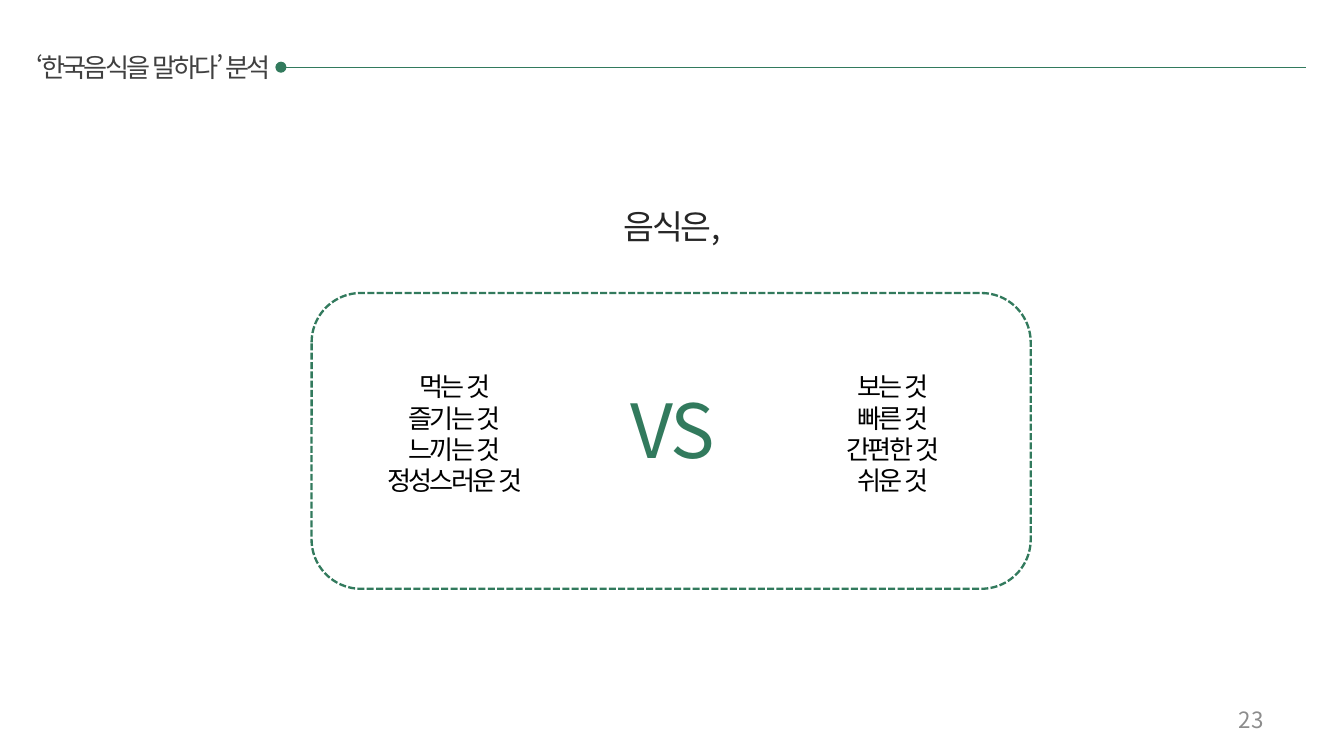
from lxml.etree import SubElement
from pptx import Presentation
from pptx.dml.color import RGBColor
from pptx.enum.dml import MSO_LINE
from pptx.enum.lang import MSO_LANGUAGE_ID
from pptx.enum.shapes import MSO_CONNECTOR, MSO_SHAPE
from pptx.enum.text import MSO_ANCHOR, MSO_AUTO_SIZE, PP_ALIGN
from pptx.oxml.ns import qn
from pptx.util import Cm, Pt

FONT = "Noto Sans CJK KR"
GREEN = RGBColor(0x32, 0x7A, 0x5D)
DARK = RGBColor(0x40, 0x40, 0x40)
INK = RGBColor(0x26, 0x26, 0x26)
BLACK = RGBColor(0, 0, 0)
GRAY = RGBColor(0x8C, 0x8C, 0x8C)


def add_text(slide, box, lines, size, color, align=PP_ALIGN.CENTER, tight=True):
    frame = slide.shapes.add_textbox(*map(Cm, box)).text_frame
    frame.word_wrap = True
    frame.text = "\n".join(lines)
    for para in frame.paragraphs:
        para.alignment = align
        font = para.font
        font.size = Pt(size)
        font.color.rgb = color
        font.name = FONT
        font.language_id = MSO_LANGUAGE_ID.KOREAN
        props = para._p.pPr.find(qn("a:defRPr"))
        SubElement(props, qn("a:ea"), typeface=FONT)
        if tight:
            props.set("spc", "-150")
    if tight:
        frame.auto_size = MSO_AUTO_SIZE.SHAPE_TO_FIT_TEXT
    return frame


def add_rule(slide, left, right, top):
    rule = slide.shapes.add_connector(
        MSO_CONNECTOR.STRAIGHT, Cm(left), Cm(top), Cm(right), Cm(top))
    rule.line.color.rgb = GREEN
    rule.line.width = Pt(0.75)
    SubElement(rule.line._get_or_add_ln(), qn("a:headEnd"), type="oval")
    SubElement(rule._element.spPr, qn("a:effectLst"))


def add_frame(slide, box):
    frame = slide.shapes.add_shape(MSO_SHAPE.ROUNDED_RECTANGLE, *map(Cm, box))
    frame.shadow.inherit = False
    frame.fill.background()
    frame.line.color.rgb = GREEN
    frame.line.width = Pt(1.25)
    frame.line.dash_style = MSO_LINE.SQUARE_DOT


def main():
    """Build the slide that sets two views of food side by side."""
    deck = Presentation()
    deck.slide_width, deck.slide_height = Cm(25.4), Cm(14.29)
    slide = deck.slides.add_slide(deck.slide_layouts[6])

    add_rule(slide, 5.31, 24.69, 1.27)
    add_text(slide, (0.3, 0.84, 5.21, 0.86), ["‘한국음식을 말하다’ 분석"], 14, DARK)
    add_text(slide, (9.91, 3.76, 5.59, 1.02), ["음식은,"], 18, INK)

    views = (
        (4.9, ["먹는 것", "즐기는 것", "느끼는 것", "정성스러운 것"]),
        (13.18, ["보는 것", "빠른 것", "간편한 것", "쉬운 것"]),
    )
    for left, lines in views:
        add_text(slide, (left, 6.88, 7.39, 3.25), lines, 14, BLACK)
    add_text(slide, (11.33, 7.14, 2.77, 1.96), ["VS"], 40, GREEN)
    add_frame(slide, (5.89, 5.54, 13.59, 5.59))

    page = add_text(slide, (18.21, 13.23, 5.92, 0.76), ["23"], 12, GRAY,
                    PP_ALIGN.RIGHT, False)
    page.vertical_anchor = MSO_ANCHOR.MIDDLE
    deck.save("out.pptx")


if __name__ == "__main__":
    main()
